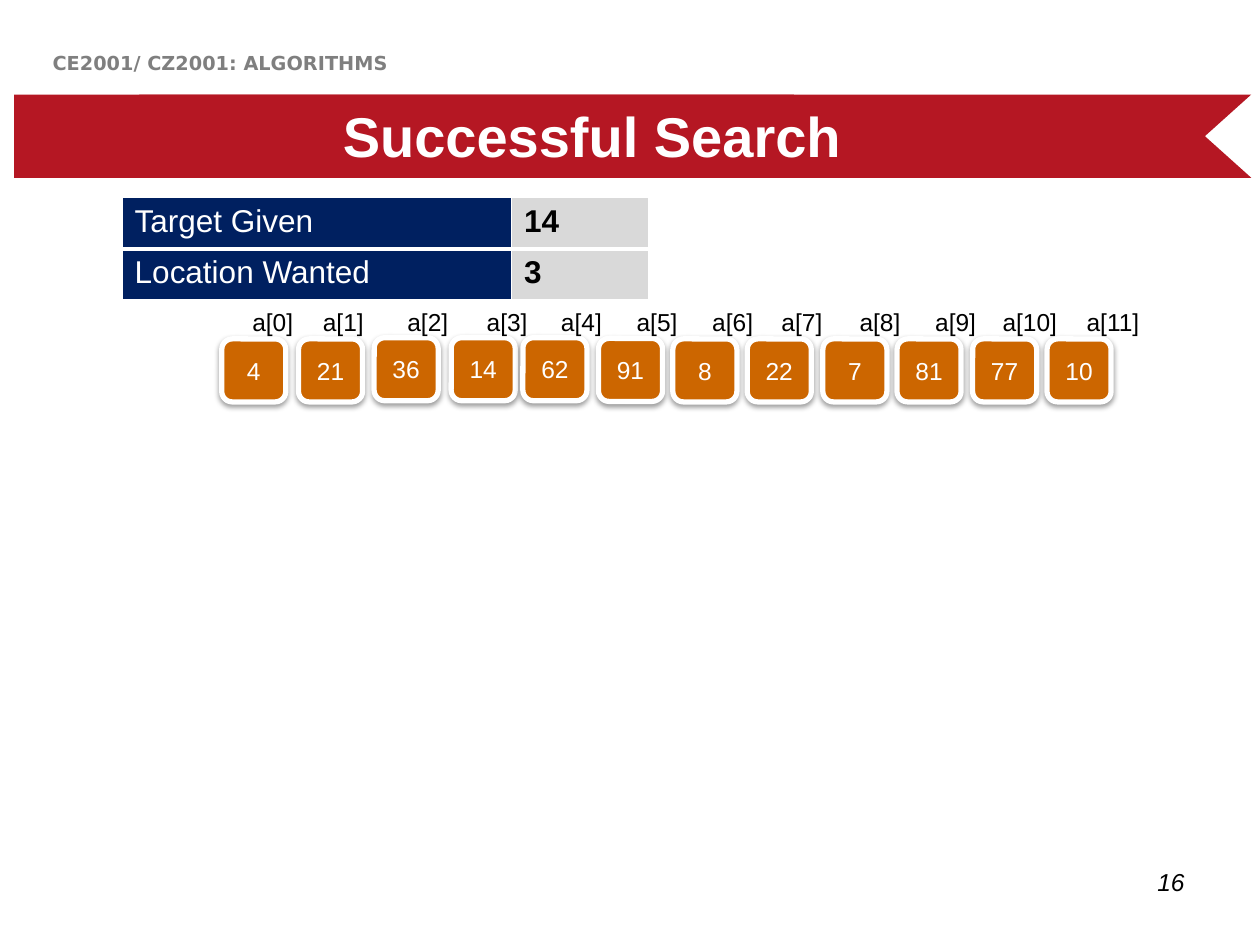
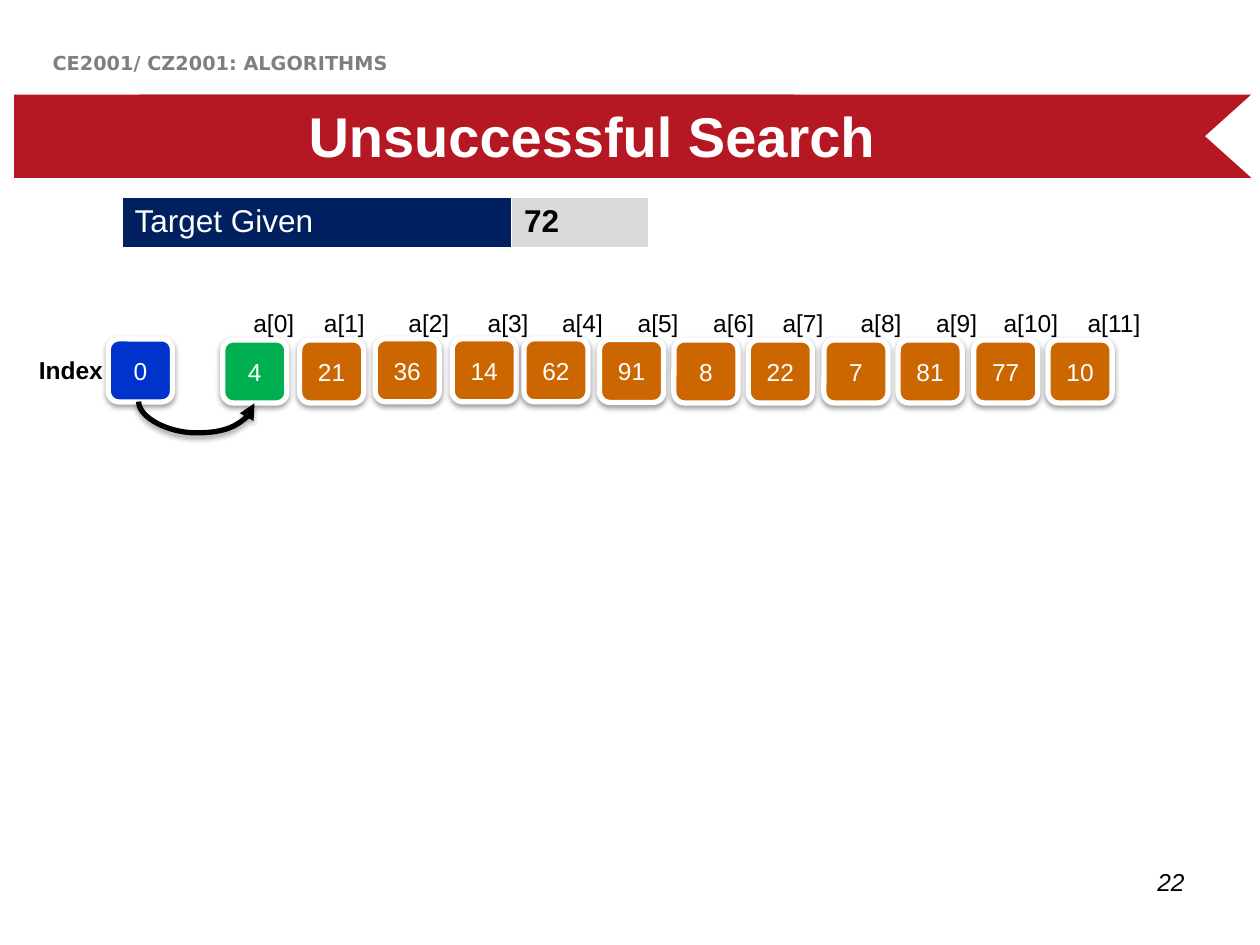
from lxml import etree
from pptx import Presentation
from pptx.dml.color import RGBColor
from pptx.enum import shapes, text
from pptx.oxml import ns
from pptx.util import Pt

RED = RGBColor(0xB5, 0x17, 0x23)
NAVY = RGBColor(0x00, 0x20, 0x60)
LIGHT_GREY = RGBColor(0xD9, 0xD9, 0xD9)
GREY = RGBColor(0x7F, 0x7F, 0x7F)
ORANGE = RGBColor(0xCC, 0x66, 0x00)
GREEN = RGBColor(0x00, 0xB0, 0x50)
BLUE = RGBColor(0x00, 0x33, 0xCC)
WHITE = RGBColor(0xFF, 0xFF, 0xFF)
BLACK = RGBColor(0x00, 0x00, 0x00)

LEFT, CENTER, RIGHT = text.PP_ALIGN.LEFT, text.PP_ALIGN.CENTER, text.PP_ALIGN.RIGHT
TOP, MIDDLE = text.MSO_ANCHOR.TOP, text.MSO_ANCHOR.MIDDLE

# The array: value, left of its box, top offset of its box, left of its label
ARRAY = [
    (4, 126.7, 0, 136.8), (21, 170.6, 0, 177.1), (36, 213.8, -0.7, 225.4),
    (14, 257.8, -0.7, 270.7), (62, 298.8, -0.7, 313.2), (91, 342, -0.3, 356.4),
    (8, 384.5, 0, 399.6), (22, 427, 0, 439.2), (7, 470.2, 0, 483.8),
    (81, 512.6, 0, 527), (77, 555.8, 0, 564.5), (10, 598.3, 0, 612),
]


def add_element(parent, tag, **attributes):
    """Append a drawing element and return it."""
    element = etree.SubElement(parent, ns.qn(tag))
    for name, value in attributes.items():
        element.set(name, str(value))
    return element


class Deck:
    """Holds the shared style and the current slide."""

    def __init__(self):
        self.presentation = Presentation()
        self.presentation.slide_width = Pt(720)
        self.presentation.slide_height = Pt(540)
        self.slide = None

    def set_text(self, frame, words, size, color, bold=False, italic=False,
                 align=LEFT, anchor=TOP, font="Arial"):
        frame.text = words
        frame.vertical_anchor = anchor
        paragraph = frame.paragraphs[0]
        paragraph.alignment = align
        paragraph.font.name = font
        paragraph.font.size = Pt(size)
        paragraph.font.bold = bold
        paragraph.font.italic = italic
        paragraph.font.color.rgb = color

    def text_box(self, words, left, top, width, height, size=14, color=BLACK,
                 wrap=True, **style):
        box = self.slide.shapes.add_textbox(Pt(left), Pt(top), Pt(width), Pt(height))
        box.text_frame.word_wrap = wrap
        self.set_text(box.text_frame, words, size, color, **style)

    def band(self, left, width, notch):
        band = self.slide.shapes.add_shape(
            shapes.MSO_SHAPE.NOTCHED_RIGHT_ARROW, Pt(left), Pt(54), Pt(width), Pt(47.6))
        band.rotation = 180
        band.adjustments[0] = 1
        band.adjustments[1] = notch
        band.shadow.inherit = False
        band.fill.solid()
        band.fill.fore_color.rgb = RED
        band.line.fill.background()

    def new_slide(self, heading, number):
        layout = self.presentation.slide_layouts.get_by_name("Title Only")
        self.slide = self.presentation.slides.add_slide(layout)
        # Red ribbon
        self.band(8, 445.7, 0)
        self.band(53.3, 661.7, 0.557)
        # Page number and course name
        self.text_box(str(number), 516, 491.8, 168, 37.5, italic=True, align=RIGHT)
        self.text_box("CE2001/ CZ2001: ALGORITHMS", 23, 26, 607, 21, size=11,
                      color=GREY, bold=True, font="DejaVu Sans")
        # Title, brought in front of the ribbon
        title = self.slide.shapes.title
        title.left, title.top, title.width, title.height = Pt(26.6), Pt(57.6), Pt(623.5), Pt(39)
        self.set_text(title.text_frame, heading, 32, WHITE, bold=True,
                      align=CENTER, anchor=MIDDLE)
        title.element.getparent().append(title.element)

    def cell_borders(self, cell, **widths):
        properties = cell._tc.get_or_add_tcPr()
        for side in "LRTB":
            line = add_element(properties, f"a:ln{side}", w=Pt(widths.get(side, 1)))
            add_element(add_element(line, "a:solidFill"), "a:srgbClr", val=WHITE)

    def facts(self, rows):
        """A table of names and values."""
        frame = self.slide.shapes.add_table(
            len(rows), 2, Pt(69.8), Pt(113), Pt(301), Pt(29.3 * len(rows)))
        table = frame.table
        table.first_row = table.horz_banding = False
        table.columns[0].width, table.columns[1].width = Pt(222.5), Pt(78.5)
        for row, words in enumerate(rows):
            for column, (fill, color) in enumerate([(NAVY, WHITE), (LIGHT_GREY, BLACK)]):
                cell = table.cell(row, column)
                self.set_text(cell.text_frame, words[column], 18, color, bold=column == 1)
                # A thick line runs below the first row
                self.cell_borders(cell, **({"T": 3} if row else {"B": 3}))
                cell.fill.solid()
                cell.fill.fore_color.rgb = fill

    def shadow(self, shape, opacity, distance):
        effects = add_element(shape.element.spPr, "a:effectLst")
        outer = add_element(effects, "a:outerShdw", blurRad=Pt(3.1), dist=Pt(distance),
                            dir=90 * 60000, rotWithShape=0)
        color = add_element(outer, "a:srgbClr", val=BLACK)
        add_element(color, "a:alpha", val=opacity * 1000)

    def number_box(self, value, left, top, color):
        box = self.slide.shapes.add_shape(
            shapes.MSO_SHAPE.ROUNDED_RECTANGLE, Pt(left), Pt(top), Pt(36.6), Pt(36))
        box.fill.solid()
        box.fill.fore_color.rgb = color
        box.line.color.rgb = WHITE
        box.line.width = Pt(3)
        self.shadow(box, 38, 1.6)
        box.text_frame.word_wrap = False
        self.set_text(box.text_frame, str(value), 14, WHITE, align=CENTER, anchor=MIDDLE)

    def array(self, shift=0, current=None):
        """The array with its labels; the current element is green."""
        for index, (value, left, offset, label_left) in enumerate(ARRAY):
            color = GREEN if index == current else ORANGE
            self.number_box(value, left + shift, 193.7 + offset + shift, color)
            self.text_box(f"a[{index}]", label_left + shift, 170.6 + shift,
                          38.2 if index < 10 else 48, 26, wrap=False,
                          align=CENTER, anchor=MIDDLE)

    def curved_arrow(self, start, end, level, depth):
        """An arrow that sags below two points on one level."""
        middle, half = (start + end) / 2, (end - start) / 2
        # Drawn upright, one point wide, then turned on its side
        arrow = self.slide.shapes.add_connector(
            shapes.MSO_CONNECTOR.CURVE, Pt(middle - 0.5), Pt(level - half),
            Pt(middle + 0.5), Pt(level + half))
        properties = arrow.element.spPr
        transform = properties.find(ns.qn("a:xfrm"))
        transform.set("rot", str(270 * 60000))
        transform.set("flipH", "1")
        geometry = properties.find(ns.qn("a:prstGeom"))
        guides = geometry.find(ns.qn("a:avLst"))
        add_element(guides, "a:gd", name="adj1", fmla=f"val {depth * 100000}")
        arrow.line.color.rgb = BLACK
        arrow.line.width = Pt(3)
        add_element(properties.find(ns.qn("a:ln")), "a:tailEnd", type="triangle")
        self.shadow(arrow, 35, 1.8)


deck = Deck()

# Successful search
deck.new_slide("Successful Search", 16)
deck.facts([("Target Given", "14"), ("Location Wanted", "3")])
deck.array()

# Unsuccessful search, at its first index
deck.new_slide("Unsuccessful Search", 22)
deck.facts([("Target Given", "72")])
deck.number_box(0, 61.9, 193.7, BLUE)
deck.text_box("Index", 15.1, 199.4, 85, 24.5, bold=True)
deck.array(shift=0.6, current=0)
deck.curved_arrow(79.2, 145.4, 230, 18)

deck.presentation.save("out.pptx")
